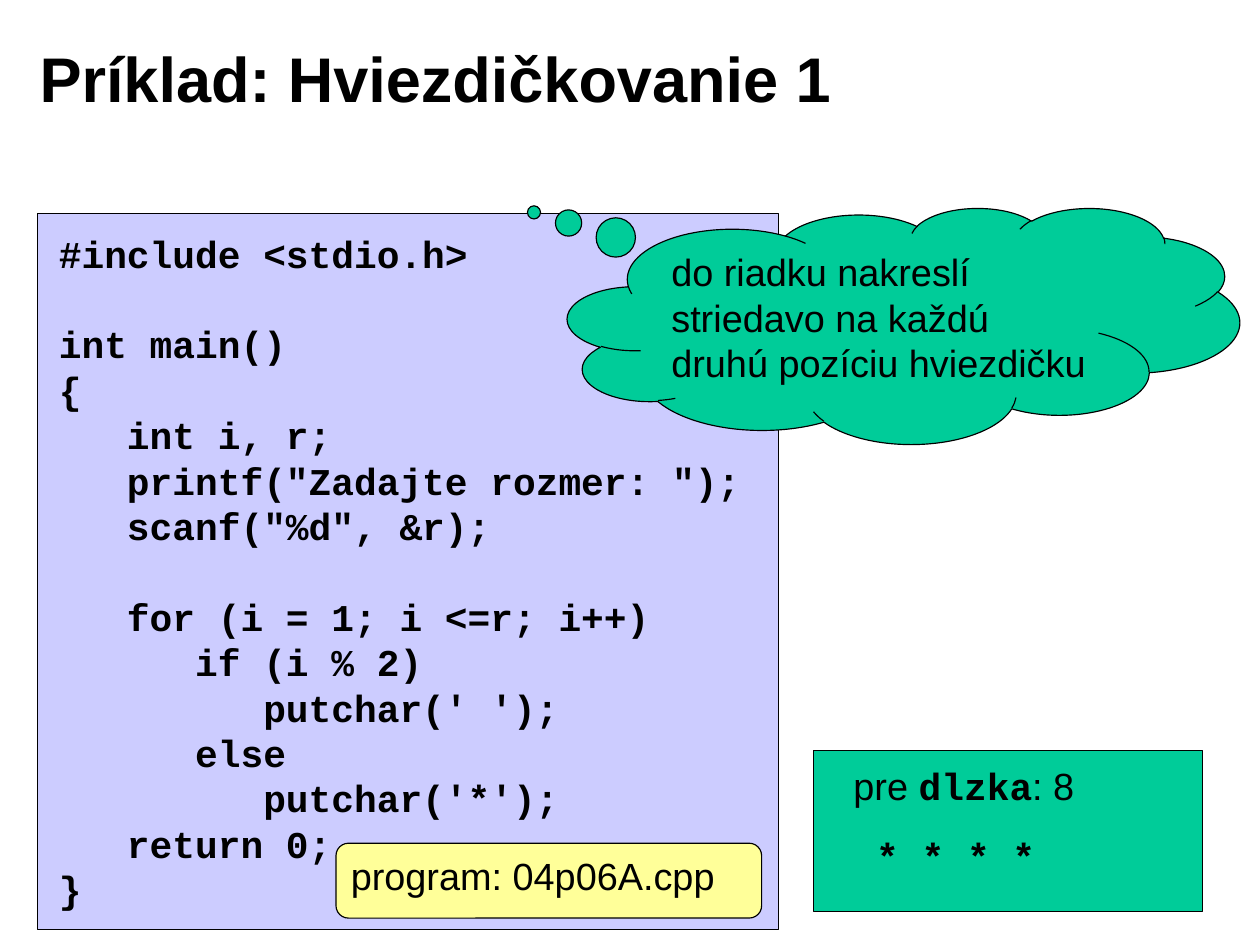
from dataclasses import dataclass

from pptx import Presentation
from pptx.dml.color import RGBColor
from pptx.enum.shapes import MSO_SHAPE
from pptx.enum.text import MSO_ANCHOR, PP_ALIGN
from pptx.util import Inches, Pt


@dataclass(frozen=True)
class Theme:
    ink: RGBColor = RGBColor(0, 0, 0)
    lilac: RGBColor = RGBColor(0xCC, 0xCC, 0xFF)
    green: RGBColor = RGBColor(0x00, 0xCC, 0x99)
    yellow: RGBColor = RGBColor(0xFF, 0xFF, 0x99)
    sans: str = "Arial"
    mono: str = "Courier New"
    title: Pt = Pt(40)
    body: Pt = Pt(24)
    gap: Pt = Pt(16)
    line: Pt = Pt(0.75)


THEME = Theme()

CODE = """#include <stdio.h>

int main()
{
   int i, r;
   printf("Zadajte rozmer: ");
   scanf("%d", &r);

   for (i = 1; i <=r; i++)
      if (i % 2)
         putchar(' ');
      else
         putchar('*');
   return 0;
}"""


def style(font, face=THEME.sans, size=THEME.body, bold=False):
    font.name, font.size, font.bold = face, size, bold
    font.color.rgb = THEME.ink


def add_text(slide, box, text, wrap=True, **look):
    """Add a text box with one look for all its lines."""
    frame = slide.shapes.add_textbox(*map(Inches, box)).text_frame
    frame.word_wrap = wrap
    frame.text = text
    for line in frame.paragraphs:
        style(line.font, **look)
        for run in line.runs:
            style(run.font, **look)
    return frame


def add_panel(slide, kind, box, fill, text=""):
    """Add an outlined shape, with text at its top left if given."""
    panel = slide.shapes.add_shape(kind, *map(Inches, box))
    panel.shadow.inherit = False
    panel.fill.solid()
    panel.fill.fore_color.rgb = fill
    panel.line.color.rgb = THEME.ink
    panel.line.width = THEME.line
    if text:
        frame = panel.text_frame
        frame.word_wrap = True
        frame.vertical_anchor = MSO_ANCHOR.TOP
        frame.text = text
        line = frame.paragraphs[0]
        line.alignment = PP_ALIGN.LEFT
        style(line.runs[0].font)
    return panel


def add_sample(slide, box):
    """Show the output for one length."""
    frame = add_text(slide, box, "pre ")
    label = frame.paragraphs[0]
    for text, face, bold in (("dlzka", THEME.mono, True), (": 8", THEME.sans, False)):
        run = label.add_run()
        run.text = text
        style(run.font, face, bold=bold)
    stars = frame.add_paragraph()
    stars.text = " * * * *"
    stars.space_before = THEME.gap
    style(stars.runs[0].font, THEME.mono, bold=True)


def main():
    deck = Presentation()
    deck.slide_width, deck.slide_height = Inches(11.1), Inches(8.3)
    slide = deck.slides.add_slide(deck.slide_layouts[6])

    title = add_text(slide, (0.25, 0.17, 8.92, 1.02), "Príklad: Hviezdičkovanie 1",
                     size=THEME.title, bold=True)
    title.vertical_anchor = MSO_ANCHOR.MIDDLE

    add_panel(slide, MSO_SHAPE.RECTANGLE, (0.33, 1.88, 6.53, 6.31), THEME.lilac)
    add_text(slide, (0.42, 1.98, 6.39, 6.25), CODE, wrap=False,
             face=THEME.mono, bold=True)

    add_panel(slide, MSO_SHAPE.RECTANGLE, (7.17, 6.61, 3.42, 1.42), THEME.green)
    add_sample(slide, (7.42, 6.67, 2.25, 1.16))

    cloud = add_panel(slide, MSO_SHAPE.CLOUD_CALLOUT, (5, 1.83, 5.92, 2.08), THEME.green,
                      "do riadku nakreslí striedavo na každú druhú pozíciu hviezdičku")
    cloud.adjustments[0], cloud.adjustments[1] = -0.55, -0.48

    add_panel(slide, MSO_SHAPE.ROUNDED_RECTANGLE, (2.96, 7.43, 3.75, 0.66), THEME.yellow,
              "program: 04p06A.cpp")
    deck.save("out.pptx")


if __name__ == "__main__":
    main()
